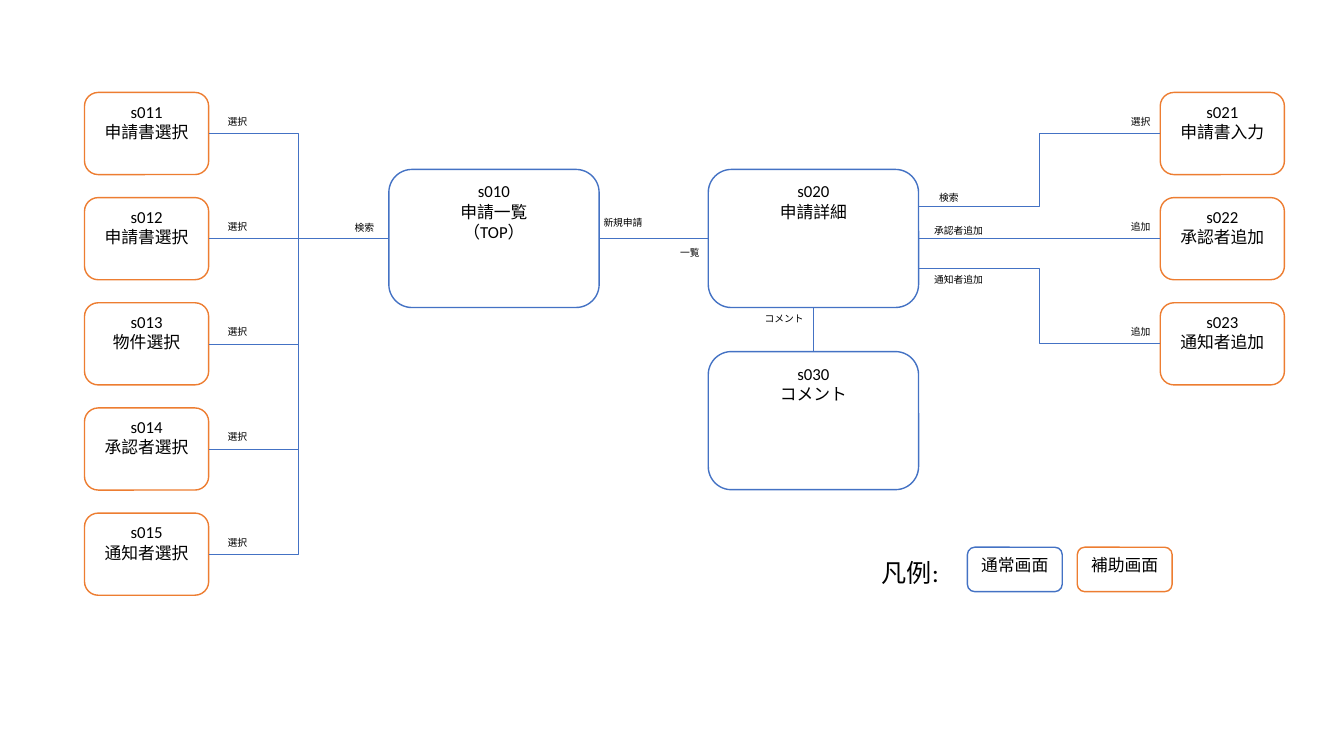
import pptx
import pptx.dml.color
import pptx.enum.shapes
import pptx.enum.text
import pptx.oxml.ns
import pptx.util
from lxml import etree

Cm = pptx.util.Cm
Pt = pptx.util.Pt

COLOURS = {"main": "4472C4", "sub": "ED7D31", "paper": "FFFFFF", "ink": "000000"}
FONT = "Calibri"

MAIN_SIZE = (5.3, 3.48)
SUB_SIZE = (3.13, 2.07)
LEGEND_SIZE = (2.39, 1.12)
FIRST_ROW, ROW_PITCH = 2.33, 2.65
SUB_LEFT, SUB_RIGHT = 2.13, 29.24
LABEL_DROP = 0.46  # from the top of a row to its link label

# Connection sites of a rounded rectangle
TOP, LEFT, BOTTOM, RIGHT = range(4)

SELECTION_SCREENS = [
    ("s011", "申請書選択"),
    ("s012", "申請書選択"),
    ("s013", "物件選択"),
    ("s014", "承認者選択"),
    ("s015", "通知者選択"),
]
# Screen lines, label beside it, height where its link meets the detail screen
DETAIL_SCREENS = [
    (("s021", "申請書入力"), "選択", 5.21),
    (("s022", "承認者追加"), "追加", None),
    (("s023", "通知者追加"), "追加", 6.76),
]
LINK_LABELS = [
    ("検索", 8.69, 5.46),
    ("新規申請", 14.96, 5.33),
    ("一覧", 16.89, 6.1),
    ("コメント", 19.02, 7.75),
    ("検索", 23.42, 4.7),
    ("承認者追加", 23.29, 5.54),
    ("通知者追加", 23.29, 6.78),
]


def colour(key):
    return pptx.dml.color.RGBColor.from_string(COLOURS[key])


def add_run(paragraph, text, size):
    run = paragraph.add_run()
    run.text = text
    run.font.size = Pt(size)
    run.font.name = FONT
    run.font.color.rgb = colour("ink")


def add_screen(slide, lines, left, top, size, kind):
    """Rounded box with its lines centred from the top."""
    screen = slide.shapes.add_shape(
        pptx.enum.shapes.MSO_SHAPE.ROUNDED_RECTANGLE,
        Cm(left), Cm(top), Cm(size[0]), Cm(size[1]))
    screen.shadow.inherit = False
    screen.fill.solid()
    screen.fill.fore_color.rgb = colour("paper")
    screen.line.color.rgb = colour(kind)
    screen.line.width = Pt(1)
    frame = screen.text_frame
    frame.vertical_anchor = pptx.enum.text.MSO_ANCHOR.TOP
    for index, line in enumerate(lines):
        paragraph = frame.add_paragraph() if index else frame.paragraphs[0]
        paragraph.alignment = pptx.enum.text.PP_ALIGN.CENTER
        add_run(paragraph, line, 12)
    return screen


def add_text(slide, text, left, top, width, height, size, wrap):
    box = slide.shapes.add_textbox(Cm(left), Cm(top), Cm(width), Cm(height))
    box.text_frame.word_wrap = wrap
    box.text_frame.auto_size = pptx.enum.text.MSO_AUTO_SIZE.SHAPE_TO_FIT_TEXT
    add_run(box.text_frame.paragraphs[0], text, size)


def add_label(slide, text, left, top):
    """Small link label, as wide as its characters plus the insets."""
    add_text(slide, text, left, top, 0.51 + 0.25 * len(text), 0.56, 7, False)


def add_link(slide, start, start_site, end, end_site, end_height=None, bent=True):
    """Thin line between two screens; end_height sets a free point on the end's right edge."""
    kinds = pptx.enum.shapes.MSO_CONNECTOR
    kind = kinds.ELBOW if bent else kinds.STRAIGHT
    free_x = end.left + end.width
    free_y = Cm(end_height or 0)
    link = slide.shapes.add_connector(kind, free_x, free_y, free_x, free_y)
    link.begin_connect(start, start_site)
    if end_height is None:
        link.end_connect(end, end_site)
    link.line.color.rgb = colour("main")
    link.line.width = Pt(0.5)
    properties = link._element.find(pptx.oxml.ns.qn("p:spPr"))
    etree.SubElement(properties, pptx.oxml.ns.qn("a:effectLst"))


def main():
    deck = pptx.Presentation()
    deck.slide_width, deck.slide_height = Cm(33.87), Cm(19.05)
    slide = deck.slides.add_slide(deck.slide_layouts[6])

    # Main screens
    overview = add_screen(slide, ["s010", "申請一覧", "（TOP）"], 9.8, 4.27, MAIN_SIZE, "main")
    detail = add_screen(slide, ["s020", "申請詳細"], 17.85, 4.27, MAIN_SIZE, "main")
    comment = add_screen(slide, ["s030", "コメント"], 17.85, 8.86, MAIN_SIZE, "main")
    add_link(slide, overview, RIGHT, detail, LEFT, bent=False)
    add_link(slide, detail, BOTTOM, comment, TOP, bent=False)

    # Selection screens on the left
    for row, lines in enumerate(SELECTION_SCREENS):
        top = FIRST_ROW + row * ROW_PITCH
        selection = add_screen(slide, lines, SUB_LEFT, top, SUB_SIZE, "sub")
        add_link(slide, overview, LEFT, selection, RIGHT)
        add_label(slide, "選択", 5.49, top + LABEL_DROP)

    # Input screens on the right
    for row, (lines, label, meeting_height) in enumerate(DETAIL_SCREENS):
        top = FIRST_ROW + row * ROW_PITCH
        entry = add_screen(slide, lines, SUB_RIGHT, top, SUB_SIZE, "sub")
        add_link(slide, entry, LEFT, detail, RIGHT, meeting_height)
        add_label(slide, label, 28.25, top + LABEL_DROP)

    # Labels at the main screens
    for text, left, top in LINK_LABELS:
        add_label(slide, text, left, top)

    # Legend
    add_text(slide, "凡例:", 21.97, 13.92, 2.03, 1.02, 18, True)
    add_screen(slide, ["通常画面"], 24.38, 13.79, LEGEND_SIZE, "main")
    add_screen(slide, ["補助画面"], 27.15, 13.79, LEGEND_SIZE, "sub")

    deck.save("out.pptx")


if __name__ == "__main__":
    main()
